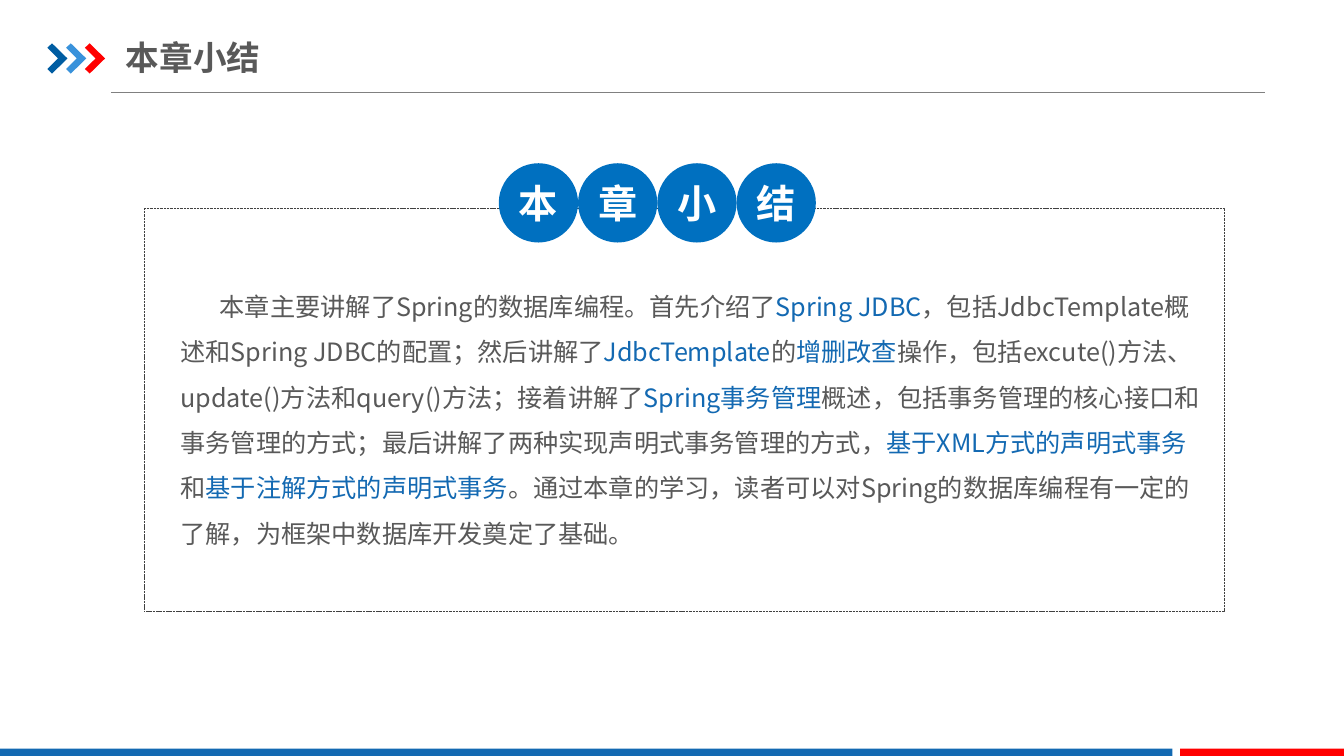
from pptx import Presentation
from pptx.dml.color import RGBColor
from pptx.enum.dml import MSO_LINE
from pptx.enum.shapes import MSO_CONNECTOR, MSO_SHAPE
from pptx.enum.text import MSO_ANCHOR, PP_ALIGN
from pptx.oxml.ns import qn
from pptx.util import Inches, Pt
from lxml.etree import SubElement

WIDTH, HEIGHT = Inches(13.33), Inches(7.5)
COLUMN, ROW = WIDTH / 128, HEIGHT / 72

FONT = "Noto Sans CJK SC"
NAVY = RGBColor(0x00, 0x5D, 0xA2)
SKY = RGBColor(0x39, 0x92, 0xDB)
RED = RGBColor(0xFF, 0x00, 0x00)
BLUE = RGBColor(0x13, 0x69, 0xB2)
BADGE_BLUE = RGBColor(0x00, 0x70, 0xC0)
TEXT_GREY = RGBColor(0x59, 0x59, 0x59)
RULE_GREY = RGBColor(0x80, 0x80, 0x80)
FRAME_GREY = RGBColor(0x40, 0x40, 0x40)
WHITE = RGBColor(0xFF, 0xFF, 0xFF)

TITLE = "本章小结"
CHEVRON = [(0, 0.42), (0.45, 0), (1.92, 1.44), (0.45, 2.88), (0, 2.44), (1.02, 1.44)]
BADGE_SIZE = 7.55

# Each pair is plain text followed by a highlighted term.
SUMMARY = [
    ("本章主要讲解了Spring的数据库编程。首先介绍了", "Spring JDBC"),
    ("，包括JdbcTemplate概述和Spring JDBC的配置；然后讲解了", "JdbcTemplate"),
    ("的", "增删改查"),
    ("操作，包括excute()方法、update()方法和query()方法；接着讲解了", "Spring事务管理"),
    ("概述，包括事务管理的核心接口和事务管理的方式；最后讲解了两种实现声明式事务管理的方式，",
     "基于XML方式的声明式事务"),
    ("和", "基于注解方式的声明式事务"),
    ("。通过本章的学习，读者可以对Spring的数据库编程有一定的了解，"
     "为框架中数据库开发奠定了基础。", ""),
]


def cell(column, row):
    return round(column * COLUMN), round(row * ROW)


def set_font(para, size, colour, bold=False):
    """Set one font for both the Latin and the East Asian text."""
    para.font.size = Pt(size)
    para.font.bold = bold
    para.font.color.rgb = colour
    para.font.name = FONT
    SubElement(para.font._element, qn("a:ea"), typeface=FONT)


def set_insets(frame, side, end):
    frame.margin_left = frame.margin_right = Inches(side)
    frame.margin_top = frame.margin_bottom = Inches(end)


def add_filled(page, kind, place, size, colour):
    shape = page.shapes.add_shape(kind, *cell(*place), *cell(*size))
    shape.shadow.inherit = False
    shape.fill.solid()
    shape.fill.fore_color.rgb = colour
    shape.line.fill.background()
    return shape


def add_chevron(page, column, row, colour):
    points = [cell(column + x, row + y) for x, y in CHEVRON]
    builder = page.shapes.build_freeform(*points[0])
    builder.add_line_segments(points[1:], close=True)
    shape = builder.convert_to_shape()
    shape.shadow.inherit = False
    shape.fill.solid()
    shape.fill.fore_color.rgb = colour
    shape.line.fill.background()


def add_rule(page, start, end):
    rule = page.shapes.add_connector(MSO_CONNECTOR.STRAIGHT, *cell(*start), *cell(*end))
    rule.line.color.rgb = RULE_GREY
    rule.line.width = Pt(0.5)
    SubElement(rule._element.spPr, qn("a:effectLst"))


def add_title(page, place, size):
    box = page.shapes.add_textbox(*cell(*place), *cell(*size))
    frame = box.text_frame
    frame.word_wrap = True
    frame.vertical_anchor = MSO_ANCHOR.MIDDLE
    set_insets(frame, 0, 0.07)
    frame.text = TITLE
    set_font(frame.paragraphs[0], 24, TEXT_GREY, bold=True)


def add_dashed_frame(page, place, size):
    border = page.shapes.add_shape(MSO_SHAPE.RECTANGLE, *cell(*place), *cell(*size))
    border.shadow.inherit = False
    border.fill.background()
    border.line.color.rgb = FRAME_GREY
    border.line.width = Pt(0.25)
    border.line.dash_style = MSO_LINE.SQUARE_DOT


def add_badge(page, column, row, letter):
    badge = add_filled(page, MSO_SHAPE.OVAL, (column, row),
                       (BADGE_SIZE, BADGE_SIZE), BADGE_BLUE)
    frame = badge.text_frame
    frame.vertical_anchor = MSO_ANCHOR.MIDDLE
    set_insets(frame, 0, 0)
    frame.text = letter
    para = frame.paragraphs[0]
    para.alignment = PP_ALIGN.CENTER
    set_font(para, 28, WHITE, bold=True)


def add_summary(page, place, size):
    box = page.shapes.add_textbox(*cell(*place), *cell(*size))
    frame = box.text_frame
    frame.word_wrap = True
    set_insets(frame, 0.13, 0.07)
    para = frame.paragraphs[0]
    para.line_spacing = 1.5
    set_font(para, 18, TEXT_GREY)
    para._p.get_or_add_pPr().set("indent", str(Inches(0.39)))
    for plain, term in SUMMARY:
        para.add_run().text = plain
        if term:
            span = para.add_run()
            span.text = term
            span.font.color.rgb = BLUE


def main():
    deck = Presentation()
    deck.slide_width, deck.slide_height = WIDTH, HEIGHT
    page = deck.slides.add_slide(deck.slide_layouts[6])

    add_rule(page, (10.56, 8.78), (120.48, 8.78))
    for index, colour in enumerate((NAVY, SKY, RED)):
        add_chevron(page, 4.51 + 1.79 * index, 4.13, colour)
    add_filled(page, MSO_SHAPE.RECTANGLE, (0, 71.3), (111.65, 0.7), BLUE)
    add_filled(page, MSO_SHAPE.RECTANGLE, (112.4, 71.3), (15.6, 0.7), RED)
    add_title(page, (12, 2.78), (40.9, 5.28))

    add_dashed_frame(page, (13.73, 19.87), (102.82, 38.3))
    for index, letter in enumerate(TITLE):
        add_badge(page, 47.5 + BADGE_SIZE * index, 15.55, letter)
    add_summary(page, (15.94, 25.63), (99.74, 26.98))

    deck.save("out.pptx")


if __name__ == "__main__":
    main()
